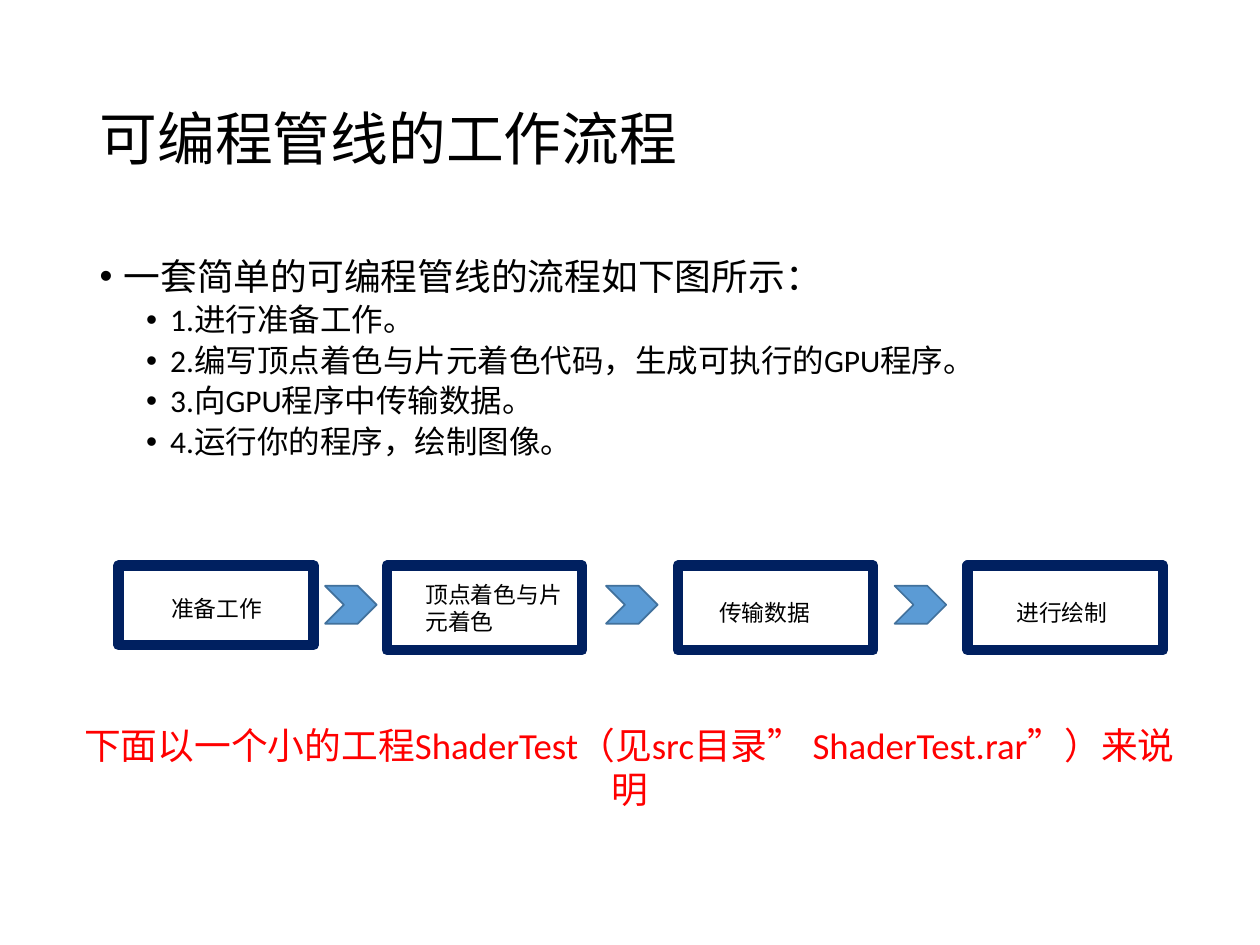
from dataclasses import dataclass

from lxml import etree
from pptx import Presentation
from pptx.dml.color import RGBColor
from pptx.enum.shapes import MSO_SHAPE
from pptx.enum.text import MSO_ANCHOR, MSO_AUTO_SIZE, PP_ALIGN
from pptx.oxml.ns import qn
from pptx.slide import Slide
from pptx.text.text import TextFrame, _Paragraph
from pptx.util import Inches, Pt

RECTANGLE = MSO_SHAPE.RECTANGLE
CHEVRON = MSO_SHAPE.CHEVRON
MIDDLE = MSO_ANCHOR.MIDDLE
TOP = MSO_ANCHOR.TOP
NO_AUTOFIT = MSO_AUTO_SIZE.NONE
LEFT = PP_ALIGN.LEFT
CENTER = PP_ALIGN.CENTER

BLACK = RGBColor(0x00, 0x00, 0x00)
RED = RGBColor(0xFF, 0x00, 0x00)
NAVY = RGBColor(0x00, 0x20, 0x60)
BLUE = RGBColor(0x5B, 0x9B, 0xD5)
DARK_BLUE = RGBColor(0x41, 0x71, 0x9C)
FONT = "Calibri"

STAGE_TOP = 4.49
STAGE_WIDTH = 1.55
ARROW_TOP = 4.65
ARROW_WIDTH = 0.41
ARROW_HEIGHT = 0.3


@dataclass(frozen=True)
class Box:
    left: float
    top: float
    width: float
    height: float

    def lengths(self) -> tuple:
        return tuple(Inches(v) for v in (self.left, self.top, self.width, self.height))


@dataclass(frozen=True)
class Stage:
    label: str
    left: float
    height: float
    label_box: Box


@dataclass(frozen=True)
class Item:
    text: str
    level: int
    size: float
    indent: float
    space_before: float


STAGES = (
    Stage("准备工作", 0.94, 0.63, Box(1.26, 4.67, 1.47, 0.32)),
    Stage("顶点着色与片元着色", 3.07, 0.67, Box(3.28, 4.56, 1.43, 0.54)),
    Stage("传输数据", 5.38, 0.67, Box(5.61, 4.7, 1.78, 0.32)),
    Stage("进行绘制", 7.68, 0.67, Box(7.97, 4.7, 1.62, 0.32)),
)
ARROW_LEFTS = (2.58, 4.81, 7.1)

STEPS = (
    "1.进行准备工作。",
    "2.编写顶点着色与片元着色代码，生成可执行的GPU程序。",
    "3.向GPU程序中传输数据。",
    "4.运行你的程序，绘制图像。",
)
ITEMS = (
    Item("一套简单的可编程管线的流程如下图所示：", 0, 21, 0.19, 0),
    *(Item(step, 1, 18, 0.56, 3.7) for step in STEPS),
)


def write(paragraph: _Paragraph, text: str, size: float,
          color: RGBColor = BLACK, align: PP_ALIGN = LEFT) -> None:
    paragraph.alignment = align
    run = paragraph.add_run()
    run.text = text
    run.font.name = FONT
    run.font.size = Pt(size)
    run.font.color.rgb = color


def place(placeholder, box: Box, anchor: MSO_ANCHOR) -> TextFrame:
    placeholder.left, placeholder.top, placeholder.width, placeholder.height = box.lengths()
    frame = placeholder.text_frame
    frame.auto_size = NO_AUTOFIT
    frame.vertical_anchor = anchor
    return frame


def add_bullet(paragraph: _Paragraph, indent: float) -> None:
    properties = paragraph._p.get_or_add_pPr()
    properties.set("marL", str(Inches(indent)))
    properties.set("indent", str(-Inches(0.19)))
    etree.SubElement(properties, qn("a:buFont"), typeface="Arial")
    etree.SubElement(properties, qn("a:buChar"), char="•")


def fill_list(frame: TextFrame) -> None:
    for index, item in enumerate(ITEMS):
        paragraph = frame.add_paragraph() if index else frame.paragraphs[0]
        add_bullet(paragraph, item.indent)
        paragraph.level = item.level
        paragraph.line_spacing = 0.9
        paragraph.space_before = Pt(item.space_before)
        write(paragraph, item.text, item.size)


def add_label(slide: Slide, text: str, box: Box, size: float,
              color: RGBColor = BLACK, align: PP_ALIGN = LEFT) -> None:
    frame = slide.shapes.add_textbox(*box.lengths()).text_frame
    frame.word_wrap = True
    write(frame.paragraphs[0], text, size, color, align)


def add_stage(slide: Slide, stage: Stage) -> None:
    box = Box(stage.left, STAGE_TOP, STAGE_WIDTH, stage.height)
    border = slide.shapes.add_shape(RECTANGLE, *box.lengths())
    border.shadow.inherit = False
    border.fill.background()
    border.line.color.rgb = NAVY
    border.line.width = Pt(6)
    add_label(slide, stage.label, stage.label_box, 13)


def add_arrow(slide: Slide, left: float) -> None:
    box = Box(left, ARROW_TOP, ARROW_WIDTH, ARROW_HEIGHT)
    arrow = slide.shapes.add_shape(CHEVRON, *box.lengths())
    arrow.shadow.inherit = False
    arrow.fill.solid()
    arrow.fill.fore_color.rgb = BLUE
    arrow.line.color.rgb = DARK_BLUE
    arrow.line.width = Pt(1)


def main() -> None:
    deck = Presentation()
    deck.slide_width = Inches(10)
    deck.slide_height = Inches(7.5)
    slide = deck.slides.add_slide(deck.slide_layouts[1])

    heading = place(slide.shapes.title, Box(0.69, 0.4, 8.63, 1.45), MIDDLE).paragraphs[0]
    heading.line_spacing = 0.9
    write(heading, "可编程管线的工作流程", 33)
    fill_list(place(slide.placeholders[1], Box(0.69, 2, 8.63, 4.76), TOP))

    for stage in STAGES:
        add_stage(slide, stage)
    for left in ARROW_LEFTS:
        add_arrow(slide, left)

    add_label(slide, "下面以一个小的工程ShaderTest（见src目录” ShaderTest.rar”）来说明",
              Box(0.5, 5.69, 8.99, 0.8), 21, RED, CENTER)
    deck.save("out.pptx")


if __name__ == "__main__":
    main()
